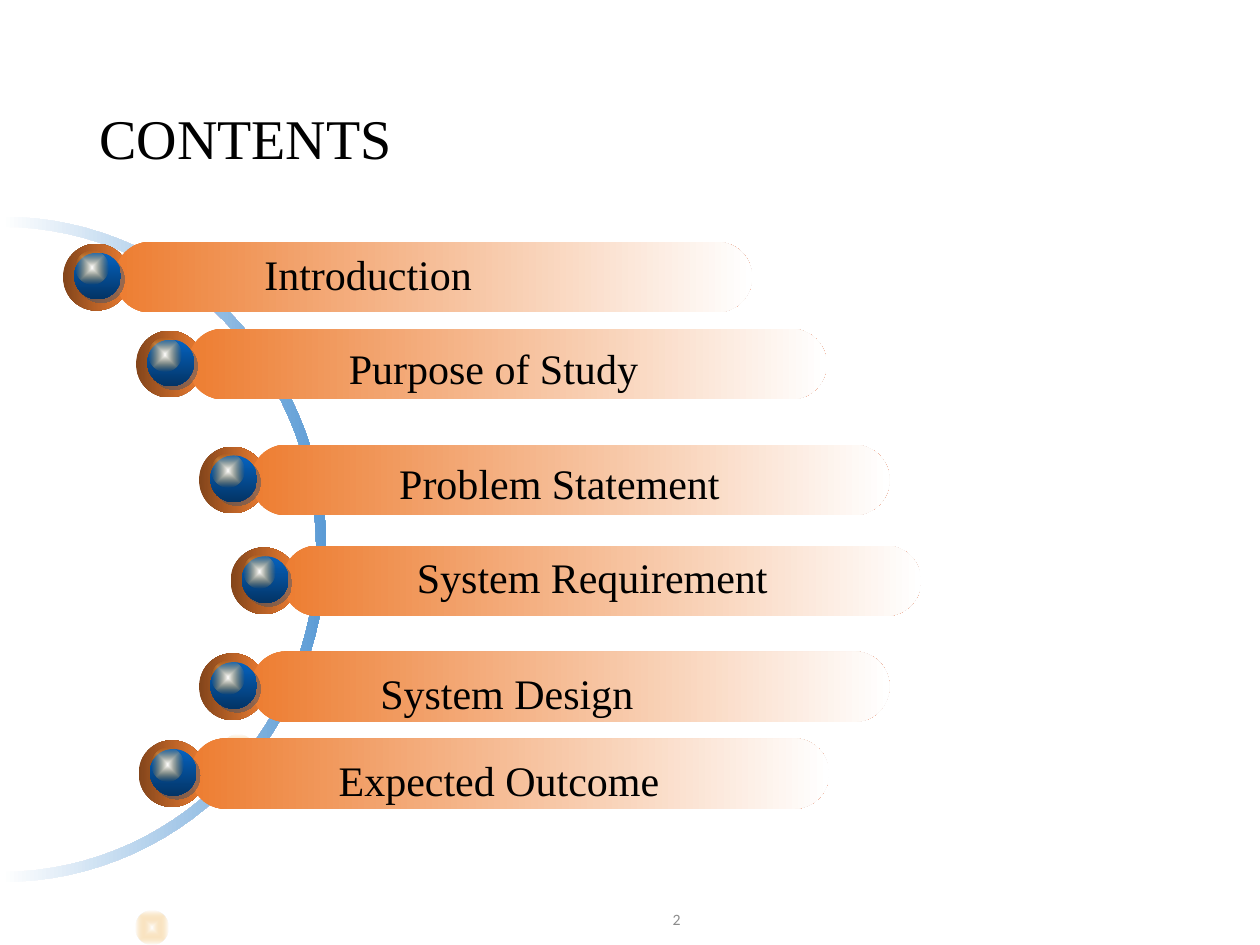
from collections import namedtuple
from math import cos, pi, sin

from lxml.etree import SubElement
from pptx import Presentation
from pptx.dml.color import RGBColor
from pptx.enum.shapes import MSO_SHAPE as Preset
from pptx.enum.text import MSO_ANCHOR as Anchor, MSO_AUTO_SIZE as AutoSize, PP_ALIGN as Align
from pptx.oxml.ns import qn
from pptx.util import Inches, Pt

WIDTH, HEIGHT = Inches(10), Inches(7.5)
COLUMN, ROW = WIDTH // 100, HEIGHT // 75

BLACK = RGBColor(0x00, 0x00, 0x00)
WHITE = RGBColor(0xFF, 0xFF, 0xFF)
GRAY = RGBColor(0x8C, 0x8C, 0x8C)
SKY = RGBColor(0x5B, 0x9B, 0xD5)
ORANGE = RGBColor(0xED, 0x7D, 0x31)
BROWN = RGBColor(0x83, 0x45, 0x1B)
BLUE = RGBColor(0x05, 0x63, 0xC1)
NAVY = RGBColor(0x03, 0x34, 0x65)
SLATE = RGBColor(0x44, 0x54, 0x6A)
AMBER = RGBColor(0xE9, 0x94, 0x0B)

SERIF, SANS = "Times New Roman", "Calibri"
TITLE_FONT = {"name": SERIF, "size": Pt(32)}
ENTRY_FONT = {"name": SERIF, "size": Pt(24)}
NUMBER_FONT = {"name": SANS, "size": Pt(9)}

Box = namedtuple("Box", "left top width height")
Entry = namedtuple("Entry", "label badge caption")

ENTRIES = [
    Entry("Introduction", Box(5, 19.2, 54.7, 5.6), Box(20, 19.2, 18.6, 5)),
    Entry("Purpose of Study", Box(10.8, 26.1, 54.8, 5.6), Box(26.7, 26.7, 25.3, 5)),
    Entry("Problem Statement", Box(15.8, 35.3, 54.8, 5.6), Box(30.7, 35.8, 27.7, 5)),
    Entry("System Requirement", Box(18.3, 43.3, 54.8, 5.6), Box(32.1, 43.3, 30.1, 5)),
    Entry("System Design", Box(15.8, 51.7, 54.8, 5.6), Box(29.2, 52.5, 22.3, 5)),
    Entry("Expected Outcome", Box(11, 58.6, 54.8, 5.6), Box(25.9, 59.4, 27.7, 5)),
]
GLOWS = [Box(17.6, 58.3, 2.6, 2.7), Box(10.8, 72.3, 2.6, 2.7)]


def place(box):
    return (round(box.left * COLUMN), round(box.top * ROW),
            round(box.width * COLUMN), round(box.height * ROW))


def set_all(target, values):
    for name, value in values.items():
        setattr(target, name, value)


def add_color(parent, color, alpha=100):
    node = SubElement(parent, qn("a:srgbClr"), val=str(color))
    if alpha < 100:
        SubElement(node, qn("a:alpha"), val=str(alpha * 1000))


def finish(shape, start, end, angle=0, radial=False):
    shape.shadow.inherit = False
    shape.line.fill.background()
    shape.fill.gradient()
    gradient = shape._element.spPr.find(qn("a:gradFill"))
    for child in list(gradient):
        gradient.remove(child)
    stops = SubElement(gradient, qn("a:gsLst"))
    for position, color, alpha in ((0, start, 100), (100000, end, 0 if radial else 100)):
        add_color(SubElement(stops, qn("a:gs"), pos=str(position)), color, alpha)
    if radial:
        center = SubElement(gradient, qn("a:path"), {"path": "shape"})
        SubElement(center, qn("a:fillToRect"), {side: "50000" for side in "ltrb"})
    else:
        SubElement(gradient, qn("a:lin"), ang=str(angle * 60000), scaled="1")
    return shape


def add_drop_shadow(shape):
    effects = shape._element.spPr.find(qn("a:effectLst"))
    shadow = SubElement(effects, qn("a:outerShdw"), dist=str(Pt(2.8)),
                        dir=str(45 * 60000), algn="ctr", rotWithShape="0")
    add_color(shadow, SLATE, 50)


def add_text(slide, box, text, font, color=BLACK, frame_format=None, paragraph_format=None):
    frame = slide.shapes.add_textbox(*place(box)).text_frame
    set_all(frame, {"word_wrap": True, **(frame_format or {})})
    paragraph = frame.paragraphs[0]
    set_all(paragraph, paragraph_format or {})
    run = paragraph.add_run()
    run.text = text
    set_all(run.font, font)
    run.font.color.rgb = color


def add_arc(slide, box, thickness, steps=60):
    middle = box.top + box.height / 2
    angles = [pi * (step / steps - 0.5) for step in range(steps + 1)]

    def edge(inset, sweep):
        return [(round((box.left + (box.width - inset) * cos(angle)) * COLUMN),
                 round((middle + (box.height / 2 - inset) * sin(angle)) * ROW))
                for angle in sweep]

    outline = edge(0, angles) + edge(thickness, reversed(angles))
    builder = slide.shapes.build_freeform(*outline[0])
    builder.add_line_segments(outline[1:], close=True)
    finish(builder.convert_to_shape(), WHITE, SKY)


def add_glow(shapes, box):
    finish(shapes.add_shape(Preset.OVAL, *place(box)), WHITE, AMBER, radial=True)


def add_badge(slide, box):
    parts = slide.shapes.add_group_shape().shapes
    left, top = box.left, box.top
    ring = Box(left, top + 0.15, 5.3, 5.3)
    bar = Box(left + 4.1, top, box.width - 4.1, box.height)
    orb = Box(left + 0.9, top + 0.85, 3.7, 3.7)
    finish(parts.add_shape(Preset.OVAL, *place(ring)), BROWN, ORANGE)
    pill = finish(parts.add_shape(Preset.ROUNDED_RECTANGLE, *place(bar)), ORANGE, WHITE)
    pill.adjustments[0] = 0.5
    add_drop_shadow(finish(parts.add_shape(Preset.OVAL, *place(orb)), BLUE, NAVY, angle=90))
    add_glow(parts, Box(left + 1, top + 0.7, 2.6, 2.7))


def add_entry(slide, entry):
    add_badge(slide, entry.badge)
    add_text(slide, entry.caption, entry.label, ENTRY_FONT,
             frame_format={"word_wrap": False, "auto_size": AutoSize.SHAPE_TO_FIT_TEXT})


def main():
    deck = Presentation()
    set_all(deck, {"slide_width": WIDTH, "slide_height": HEIGHT})
    slide = deck.slides.add_slide(deck.slide_layouts[6])
    centered = {"vertical_anchor": Anchor.MIDDLE}
    add_text(slide, Box(6.9, 4, 86.2, 14.5), "CONTENTS", TITLE_FONT,
             frame_format=centered, paragraph_format={"line_spacing": 0.9})
    add_text(slide, Box(45.8, 71.5, 9.2, 2.9), "2", NUMBER_FONT, GRAY,
             frame_format=centered, paragraph_format={"alignment": Align.RIGHT})
    add_arc(slide, Box(0.2, 17.2, 25.7, 52.8), 0.8)
    for glow in GLOWS:
        add_glow(slide.shapes, glow)
    for entry in ENTRIES:
        add_entry(slide, entry)
    deck.save("out.pptx")


if __name__ == "__main__":
    main()
